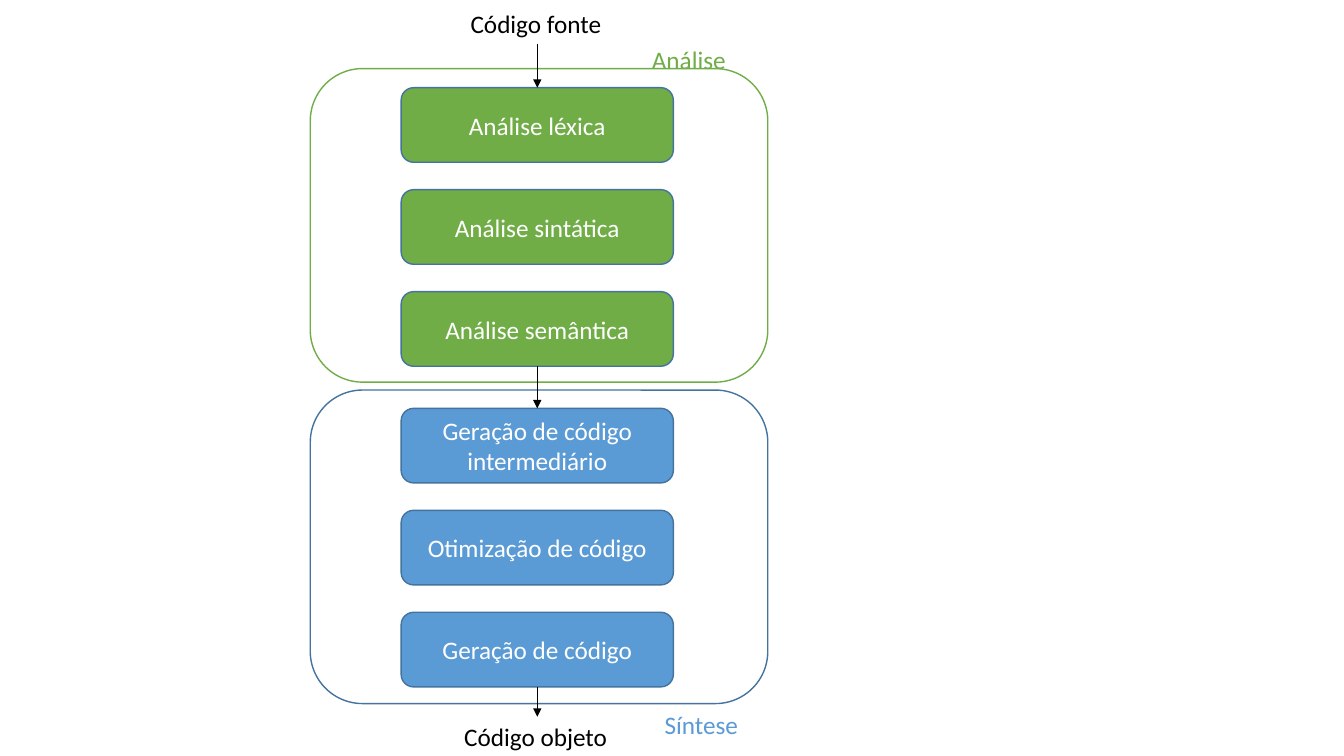
import pptx
import pptx.dml.color
import pptx.enum.shapes
import pptx.enum.text
import pptx.oxml
import pptx.oxml.ns
import pptx.util

Cm = pptx.util.Cm
Pt = pptx.util.Pt
SHAPES = pptx.enum.shapes.MSO_SHAPE
TEXT = pptx.enum.text

COLORS = {
    "green": "70AD47",
    "blue": "5B9BD5",
    "outline": "43739E",
    "black": "000000",
    "white": "FFFFFF",
}


def rgb(name):
    """Return the named colour as an RGBColor."""
    return pptx.dml.color.RGBColor.from_string(COLORS[name])


def write_text(shape, text, color="black", size=18, align=TEXT.PP_ALIGN.LEFT,
               anchor=TEXT.MSO_ANCHOR.TOP, wrap=False):
    """Put one formatted paragraph into a shape or text box."""
    frame = shape.text_frame
    frame.word_wrap = wrap
    frame.vertical_anchor = anchor
    if not wrap:
        frame.auto_size = TEXT.MSO_AUTO_SIZE.SHAPE_TO_FIT_TEXT
    paragraph = frame.paragraphs[0]
    paragraph.alignment = align
    run = paragraph.add_run()
    run.text = text
    run.font.name = "Calibri"
    run.font.size = Pt(size)
    run.font.color.rgb = rgb(color)


presentation = pptx.Presentation()
presentation.slide_width = Cm(33.87)
presentation.slide_height = Cm(19.05)
slide = presentation.slides.add_slide(presentation.slide_layouts[6])

# Compiler stages, grouped into the two phases
step_left, step_width, step_height, step_pitch = 10.11, 6.86, 1.88, 2.57
phases = [
    ("green", 2.21, ["Análise léxica", "Análise sintática", "Análise semântica"]),
    ("blue", 10.29, ["Geração de código intermediário", "Otimização de código",
                     "Geração de código"]),
]
for fill, first_top, steps in phases:
    for index, step in enumerate(steps):
        box = slide.shapes.add_shape(
            SHAPES.ROUNDED_RECTANGLE, Cm(step_left), Cm(first_top + index * step_pitch),
            Cm(step_width), Cm(step_height))
        box.shadow.inherit = False
        box.fill.solid()
        box.fill.fore_color.rgb = rgb(fill)
        box.line.color.rgb = rgb("outline")
        box.line.width = Pt(1)
        write_text(box, step, color="white", align=TEXT.PP_ALIGN.CENTER,
                   anchor=TEXT.MSO_ANCHOR.MIDDLE, wrap=True)

# Phase frames
for top, color in [(1.73, "green"), (9.83, "outline")]:
    frame = slide.shapes.add_shape(
        SHAPES.ROUNDED_RECTANGLE, Cm(7.82), Cm(top), Cm(11.53), Cm(7.9))
    frame.shadow.inherit = False
    frame.fill.background()
    frame.line.color.rgb = rgb(color)
    frame.line.width = Pt(1)

# Arrows along the centre of the stages
center = Cm(step_left + step_width / 2)
for start, end in [(1.1, 2.21), (9.23, 10.29), (17.31, 18.06)]:
    arrow = slide.shapes.add_connector(
        pptx.enum.shapes.MSO_CONNECTOR.STRAIGHT, center, Cm(start), center, Cm(end))
    arrow.line.color.rgb = rgb("black")
    arrow.line.width = Pt(0.5)
    head = pptx.oxml.parse_xml(
        f'<a:tailEnd {pptx.oxml.ns.nsdecls("a")} type="triangle"/>')
    arrow.line._get_or_add_ln().append(head)
    arrow._element.spPr.append(
        pptx.oxml.parse_xml(f'<a:effectLst {pptx.oxml.ns.nsdecls("a")}/>'))

# Input, output and phase labels
labels = [
    ("Código fonte", 11.61, 0.08, 3.84, "black"),
    ("Código objeto", 11.45, 18.06, 4.16, "black"),
    ("Análise", 16.18, 1, 2.38, "green"),
    ("Síntese", 16.5, 17.76, 2.38, "blue"),
]
for text, left, top, width, color in labels:
    label = slide.shapes.add_textbox(Cm(left), Cm(top), Cm(width), Cm(1.03))
    write_text(label, text, color=color)

presentation.save("out.pptx")
